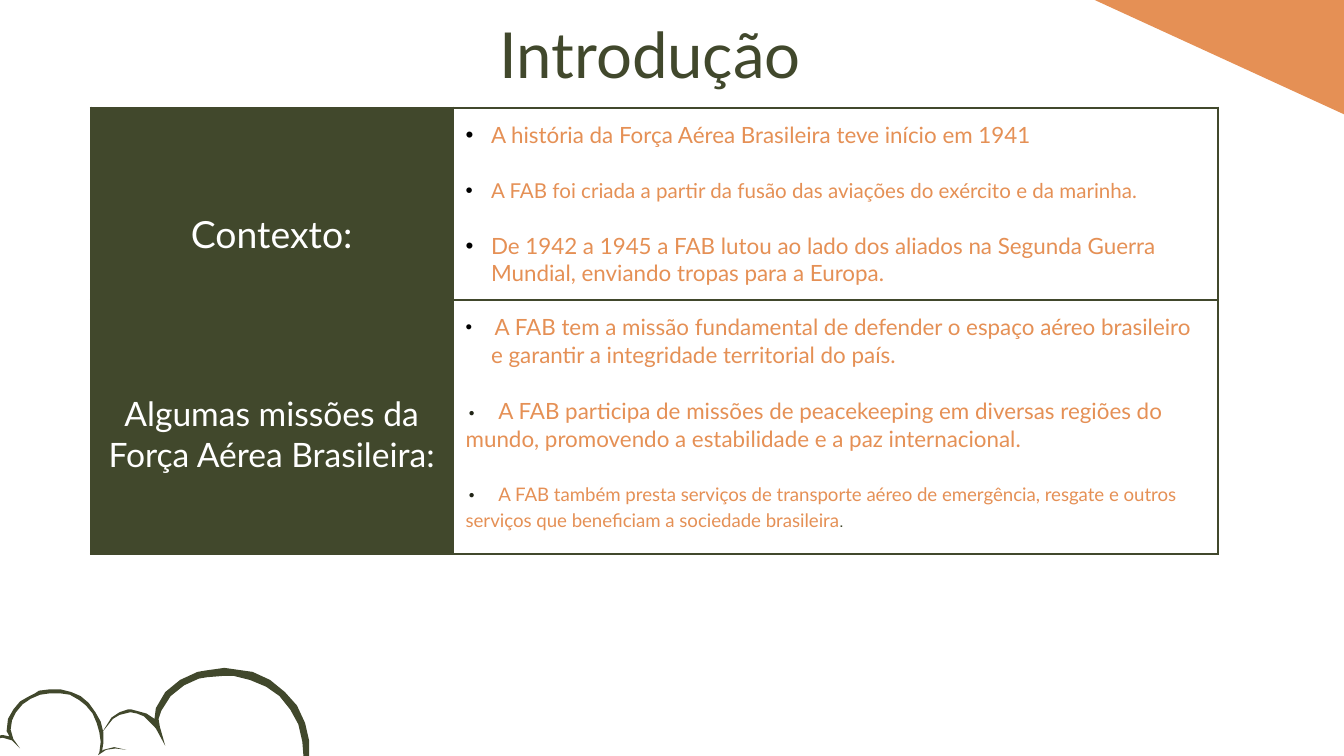
from pptx import Presentation
from pptx.dml.color import RGBColor
from pptx.enum import text
from pptx.oxml import parse_xml
from pptx.oxml.ns import nsdecls
from pptx.util import Cm, Pt

HUES = {"olive": "41482C", "orange": "E59055", "white": "FFFFFF",
        "black": "000000", "dark": "202416"}
INSET = Cm(0.25)


def add_run(para, words, size, hue, font="Lato"):
    run = para.add_run()
    run.text = words
    run.font.size = Pt(size)
    run.font.name = font
    run.font.color.rgb = RGBColor.from_string(HUES[hue])


def add_xml(parent, tag, inner, attrs=""):
    parent.append(parse_xml(f"<a:{tag} {nsdecls('a')} {attrs}>{inner}</a:{tag}>"))


deck = Presentation()
deck.slide_width, deck.slide_height = Cm(25.4), Cm(14.29)
slide = deck.slides.add_slide(deck.slide_layouts[5])

# Corner and clouds: outline points in hundredths of an inch
big = [
    (167, 497), (174, 498), (188, 500), (201, 506), (212, 515), (221, 525),
    (227, 538), (230, 551), (230, 565), (228, 578), (223, 591), (217, 600),
    (219, 600), (234, 603), (247, 612), (235, 604), (222, 602), (211, 604),
    (213, 601), (220, 590), (224, 578), (226, 565), (225, 552), (222, 539),
    (216, 528), (208, 518), (198, 511), (186, 506), (174, 503), (166, 503),
    (154, 504), (148, 505), (137, 510), (127, 518), (120, 529), (118, 535),
    (119, 541), (123, 555), (116, 542), (107, 533), (102, 531), (97, 530),
    (89, 532), (84, 535), (76, 545), (83, 534), (89, 530), (95, 528),
    (98, 528), (109, 531), (115, 535), (116, 527), (123, 515), (134, 506),
    (147, 500), (153, 499), (160, 498)]
small = [
    (26, 516), (29, 514), (37, 513), (45, 513), (53, 515), (60, 518),
    (66, 523), (71, 530), (75, 537), (77, 545), (77, 553), (76, 559),
    (77, 558), (85, 556), (94, 558), (86, 557), (79, 558), (73, 562),
    (74, 560), (75, 552), (74, 545), (72, 538), (69, 531), (64, 525),
    (59, 521), (52, 517), (45, 516), (37, 516), (30, 517), (23, 520),
    (17, 524), (12, 530), (9, 536), (8, 543), (10, 550), (15, 557),
    (9, 551), (2, 549), (-4, 550), (-8, 552), (-10, 555), (-12, 562),
    (-11, 555), (-8, 551), (-4, 548), (2, 547), (7, 548), (5, 544),
    (6, 535), (10, 528), (15, 522), (22, 518)]
corner = [(1048, 107), (736, -36), (1052, -41)]
for points, hue in ((big, "olive"), (small, "olive"), (corner, "orange")):
    pen = slide.shapes.build_freeform(*points[0], scale=Cm(2.54) / 100)
    pen.add_line_segments(points[1:], close=True)
    shape = pen.convert_to_shape()
    shape.shadow.inherit = False
    shape.fill.solid()
    shape.fill.fore_color.rgb = RGBColor.from_string(HUES[hue])
    shape.line.fill.background()

# Title
title = slide.shapes.title
title.left, title.top, title.width, title.height = Cm(1.57), Cm(0.03), Cm(21.44), Cm(1.6)
frame = title.text_frame
frame.auto_size = text.MSO_AUTO_SIZE.NONE
frame.vertical_anchor = text.MSO_ANCHOR.TOP
frame.margin_left = frame.margin_right = frame.margin_top = frame.margin_bottom = INSET
frame.paragraphs[0].alignment = text.PP_ALIGN.CENTER
add_run(frame.paragraphs[0], "Introdução", 34, "olive")

# Table: heading, size, top margin and row height, then list items
# (kind of bullet, runs)
rows = [
    ("Contexto:", 20, 1.96, 3.63, [
        ("auto", [("A história da Força Aérea Brasileira teve início em 1941", 12, "orange")]),
        ("auto", [("A FAB foi criada a partir da fusão das aviações do exército "
                   "e da marinha.", 11, "orange")]),
        ("auto", [("De 1942 a 1945 a FAB lutou ao lado dos aliados na Segunda Guerra "
                   "Mundial, enviando tropas para a Europa.", 12, "orange")])]),
    ("Algumas missões da Força Aérea Brasileira:", 18, 1.77, 4.8, [
        ("auto", [(" ", 10, "olive", "Manrope"),
                  ("A FAB tem a missão fundamental de defender o espaço aéreo brasileiro "
                   "e garantir a integridade territorial do país.", 12, "orange")]),
        ("typed", [("A FAB participa de missões de peacekeeping em diversas regiões do "
                    "mundo, promovendo a estabilidade e a paz internacional.", 12, "orange")]),
        ("typed", [("A FAB também presta serviços de transporte aéreo de emergência, "
                    "resgate e outros serviços que beneficiam a sociedade brasileira",
                    10, "orange"), (".", 10, "olive", "Manrope")])])]

table = slide.shapes.add_table(2, 2, Cm(1.72), Cm(2.04), Cm(21.3), Cm(8.43)).table
table.first_row = table.horz_banding = False
table.columns[0].width, table.columns[1].width = Cm(6.83), Cm(14.47)

for row, (head, size, drop, tall, items) in enumerate(rows):
    table.rows[row].height = Cm(tall)
    left, right = table.cell(row, 0), table.cell(row, 1)
    for cell in (left, right):
        cell.margin_left = cell.margin_right = INSET
        cell.margin_top = cell.margin_bottom = INSET
        for side in ("lnL", "lnR", "lnT", "lnB"):
            add_xml(cell._tc.get_or_add_tcPr(), side,
                    f'<a:solidFill><a:srgbClr val="{HUES["olive"]}"/></a:solidFill>',
                    f'w="{Pt(1.5)}"')
    left.margin_top = Cm(drop)
    left.fill.solid()
    left.fill.fore_color.rgb = RGBColor.from_string(HUES["olive"])
    right.fill.background()

    para = left.text_frame.paragraphs[0]
    para.alignment = text.PP_ALIGN.CENTER
    add_run(para, head, size, "white")

    for num, (kind, runs) in enumerate(items):
        frame = right.text_frame
        para = frame.add_paragraph() if num else frame.paragraphs[0]
        if num < len(items) - 1:
            para.space_after = Pt(16)
        props = para._p.get_or_add_pPr()
        if kind == "auto":
            props.set("marL", str(Cm(0.48)))
            props.set("indent", str(-Cm(0.48)))
            add_xml(props, "buClr", f'<a:srgbClr val="{HUES["black"]}"/>')
            add_xml(props, "buFont", "", 'typeface="Arial"')
            add_xml(props, "buChar", "", 'char="•"')
        else:
            add_xml(props, "tabLst", f'<a:tab pos="{Cm(0.62)}" algn="l"/>')
            add_run(para, "•", 10, "dark", "Manrope")
            add_run(para, "\t", 10, "olive", "Manrope")
        for run in runs:
            add_run(para, *run)

deck.save("out.pptx")
